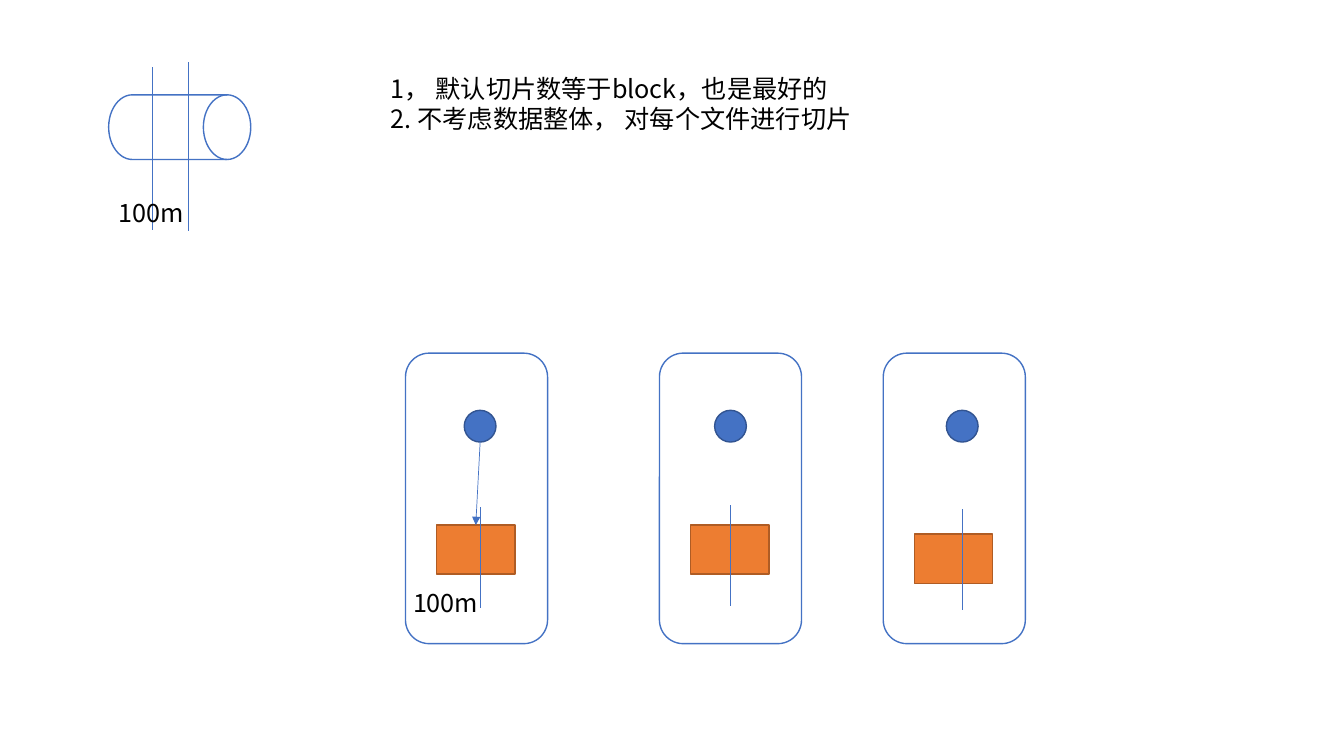
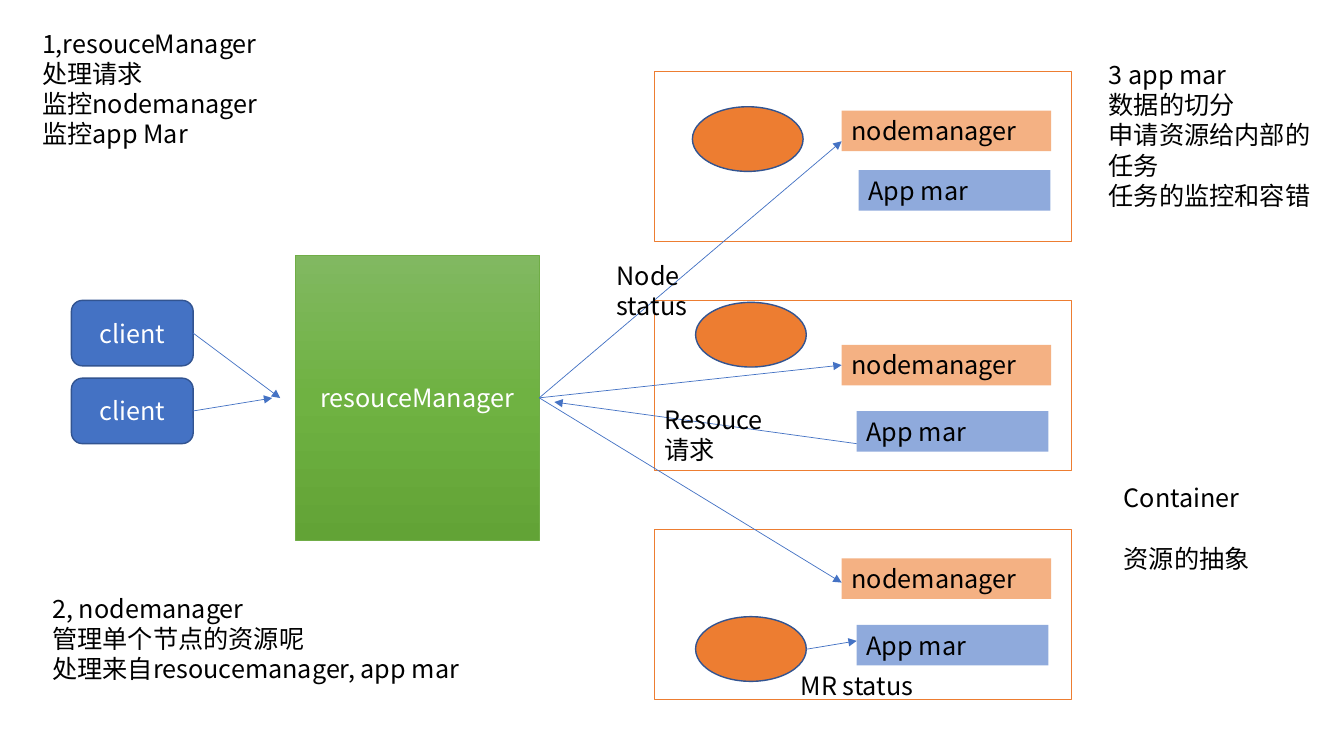
from copy import deepcopy
from dataclasses import dataclass

from pptx import Presentation
from pptx.dml.color import RGBColor
from pptx.enum.shapes import MSO_CONNECTOR, MSO_SHAPE as Form
from pptx.enum.text import MSO_ANCHOR as Anchor, MSO_AUTO_SIZE as AutoSize, PP_ALIGN as Align
from pptx.oxml.ns import qn
from pptx.oxml.xmlchemy import OxmlElement
from pptx.shapes.autoshape import Shape
from pptx.shapes.connector import Connector
from pptx.slide import Slide
from pptx.util import Cm, Pt

FONT = "Noto Sans CJK SC"
TEXT_SIZE = 18
WHITE, BLACK = "FFFFFF", "000000"
BLUE, DARK_BLUE, LIGHT_BLUE = "4472C4", "325491", "8FAADC"
ORANGE, DARK_ORANGE, LIGHT_ORANGE = "ED7D31", "AF5C24", "F4B183"
GREEN = "70AD47"
GREEN_STOPS = ((0, "81B861"), (0.5, "6FB242"), (1, "62A336"))

Point = tuple[float, float]


@dataclass
class Area:
    """A rectangle in centimetres."""
    left: float
    top: float
    width: float
    height: float

    def lengths(self) -> tuple[Cm, Cm, Cm, Cm]:
        return Cm(self.left), Cm(self.top), Cm(self.width), Cm(self.height)


@dataclass
class Note:
    area: Area
    lines: list[str]
    gap: float = 0  # points between paragraphs


@dataclass
class SplitNode:
    """A machine holding a task circle and a data block cut by a line."""
    left: float
    task_left: float
    block_top: float
    cut_top: float


@dataclass
class WorkerNode:
    ellipse: Point
    manager_top: float
    app: Point


def rgb(color: str) -> RGBColor:
    return RGBColor.from_string(color)


def write(shape: Shape, lines: list[str], color: str, align: Align = Align.LEFT,
          anchor: Anchor = Anchor.TOP, gap: float = 0) -> None:
    frame = shape.text_frame
    frame.word_wrap = True
    frame.vertical_anchor = anchor
    for index, line in enumerate(lines):
        para = frame.add_paragraph() if index else frame.paragraphs[0]
        para.text = line
        para.alignment = align
        if index and gap:
            para.space_before = Pt(gap)
        font = para.font
        font.size = Pt(TEXT_SIZE)
        font.color.rgb = rgb(color)
        font.name = FONT
        east_asian = OxmlElement("a:ea")
        east_asian.set("typeface", FONT)
        para._p.pPr.find(qn("a:defRPr")).find(qn("a:latin")).addnext(east_asian)


def add_note(page: Slide, note: Note) -> None:
    box = page.shapes.add_textbox(*note.area.lengths())
    write(box, note.lines, BLACK, gap=note.gap)
    box.text_frame.auto_size = AutoSize.SHAPE_TO_FIT_TEXT


def add_form(page: Slide, form: Form, area: Area, fill: str,
             line: str | None = None, weight: float = 1) -> Shape:
    shape = page.shapes.add_shape(form, *area.lengths())
    shape.shadow.inherit = False
    shape.fill.solid()
    shape.fill.fore_color.rgb = rgb(fill)
    if line:
        shape.line.color.rgb = rgb(line)
        shape.line.width = Pt(weight)
    else:
        shape.line.fill.background()
    return shape


def add_bar(page: Slide, label: str, area: Area, fill: str) -> Shape:
    bar = add_form(page, Form.RECTANGLE, area, fill)
    write(bar, [label], BLACK)
    return bar


def add_line(page: Slide, start: Point, end: Point, arrow: bool = False) -> Connector:
    line = page.shapes.add_connector(
        MSO_CONNECTOR.STRAIGHT, *(Cm(value) for value in (*start, *end)))
    line.line.color.rgb = rgb(BLUE)
    line.line.width = Pt(0.5)
    properties = line._element.spPr
    if arrow:
        head = OxmlElement("a:tailEnd")
        head.set("type", "triangle")
        properties.find(qn("a:ln")).append(head)
    properties.append(OxmlElement("a:effectLst"))
    return line


def shade(shape: Shape, stops: tuple[tuple[float, str], ...]) -> None:
    """Fill the shape with a gradient running from top to bottom."""
    shape.fill.gradient()
    shape.fill.gradient_angle = 270
    stop_list = shape._element.spPr.find(qn("a:gradFill")).find(qn("a:gsLst"))
    while len(stop_list) < len(stops):
        stop_list.append(deepcopy(stop_list[0]))
    for stop, (position, color) in zip(shape.fill.gradient_stops, stops):
        stop.position = position
        stop.color.rgb = rgb(color)


def build_splits(page: Slide) -> None:
    add_form(page, Form.FLOWCHART_DIRECT_ACCESS_STORAGE,
             Area(2.74, 2.39, 3.58, 1.63), WHITE, BLUE)
    add_line(page, (3.84, 1.7), (3.84, 5.79))
    add_line(page, (4.75, 1.57), (4.75, 5.82))

    task_top, task_size, cut_length = 10.34, 0.8, 2.54
    nodes = [
        SplitNode(10.22, 11.7, 13.23, 12.78),
        SplitNode(16.62, 18.01, 13.23, 12.73),
        SplitNode(22.26, 23.85, 13.46, 12.83),
    ]
    blocks = []
    for node in nodes:
        add_form(page, Form.ROUNDED_RECTANGLE,
                 Area(node.left, 8.9, 3.58, 7.32), WHITE, BLUE)
        add_form(page, Form.OVAL,
                 Area(node.task_left, task_top, task_size, task_size), BLUE, DARK_BLUE)
        blocks.append(add_form(
            page, Form.RECTANGLE,
            Area(node.left + 0.78, node.block_top, 1.98, 1.24), ORANGE, DARK_ORANGE))
        center = node.task_left + task_size / 2
        add_line(page, (center, node.cut_top), (center, node.cut_top + cut_length))

    task_bottom = (nodes[0].task_left + task_size / 2, task_top + task_size)
    add_line(page, task_bottom, (12, 13.23), arrow=True).end_connect(blocks[0], 0)

    for note in (
        Note(Area(2.74, 4.85, 2.79, 1.02), ["100m"]),
        Note(Area(10.16, 14.68, 2.79, 1.02), ["100m"]),
        Note(Area(9.6, 1.72, 21.06, 1.8),
             ["1， 默认切片数等于block，也是最好的", "2. 不考虑数据整体， 对每个文件进行切片"]),
    ):
        add_note(page, note)


def build_resources(page: Slide) -> None:
    manager = add_form(page, Form.RECTANGLE, Area(7.44, 6.43, 6.15, 7.19),
                       GREEN, GREEN, 0.5)
    shade(manager, GREEN_STOPS)
    write(manager, ["resouceManager"], WHITE, Align.CENTER, Anchor.MIDDLE)

    for top, target in ((7.57, (7.06, 10.03)), (9.53, (6.86, 10.03))):
        client = add_form(page, Form.ROUNDED_RECTANGLE,
                          Area(1.8, top, 3.07, 1.65), BLUE, DARK_BLUE)
        write(client, ["client"], WHITE, Align.CENTER, Anchor.MIDDLE)
        add_line(page, (4.87, top), target, arrow=True).begin_connect(client, 3)

    workers = [
        WorkerNode((17.45, 2.69), 2.79, (21.64, 4.29)),
        WorkerNode((17.53, 7.62), 8.69, (21.59, 10.36)),
        WorkerNode((17.53, 15.54), 14.07, (21.59, 15.75)),
    ]
    for index in range(len(workers)):
        add_form(page, Form.RECTANGLE,
                 Area(16.5, 1.8 + 5.77 * index, 10.5, 4.29), WHITE, ORANGE)
    manager_bars = []
    for worker in workers:
        add_form(page, Form.OVAL, Area(*worker.ellipse, 2.79, 1.63), ORANGE, DARK_BLUE)
        manager_bars.append(add_bar(
            page, "nodemanager", Area(21.21, worker.manager_top, 5.28, 1.02), LIGHT_ORANGE))
        add_bar(page, "App mar", Area(*worker.app, 4.83, 1.02), LIGHT_BLUE)

    status_lines = [add_line(page, (13.59, 10.03), (21.21, height), arrow=True)
                    for height in (3.56, 9.2, 14.68)]
    for line in status_lines:
        line.begin_connect(manager, 3)
    status_lines[1].end_connect(manager_bars[1], 1)
    add_line(page, (21.59, 11.18), (13.97, 10.13), arrow=True)
    add_line(page, (20.32, 16.36), (21.59, 16.15), arrow=True)

    for note in (
        Note(Area(0.81, 0.58, 8.05, 3.33),
             ["1,resouceManager", "处理请求", "监控nodemanager", "监控app Mar"]),
        Note(Area(1.07, 14.82, 11.43, 3.33),
             ["2, nodemanager", "管理单个节点的资源呢", "处理来自resoucemanager, app mar"]),
        Note(Area(27.69, 1.37, 5.64, 4.11),
             ["3 app mar", "数据的切分", "申请资源给内部的任务", "任务的监控和容错"]),
        Note(Area(15.29, 6.43, 3.89, 1.02), ["Node status"]),
        Note(Area(16.5, 10.06, 3.5, 1.8), ["Resouce", "请求"]),
        Note(Area(28.07, 12.04, 4.9, 2.57), ["Container", "资源的抽象"], gap=21.6),
        Note(Area(19.93, 16.76, 3.84, 1.02), ["MR status"]),
    ):
        add_note(page, note)


def main() -> None:
    deck = Presentation()
    deck.slide_width, deck.slide_height = Cm(33.87), Cm(19.05)
    blank = deck.slide_layouts[6]
    for build in (build_splits, build_resources):
        build(deck.slides.add_slide(blank))
    deck.save("out.pptx")


if __name__ == "__main__":
    main()
